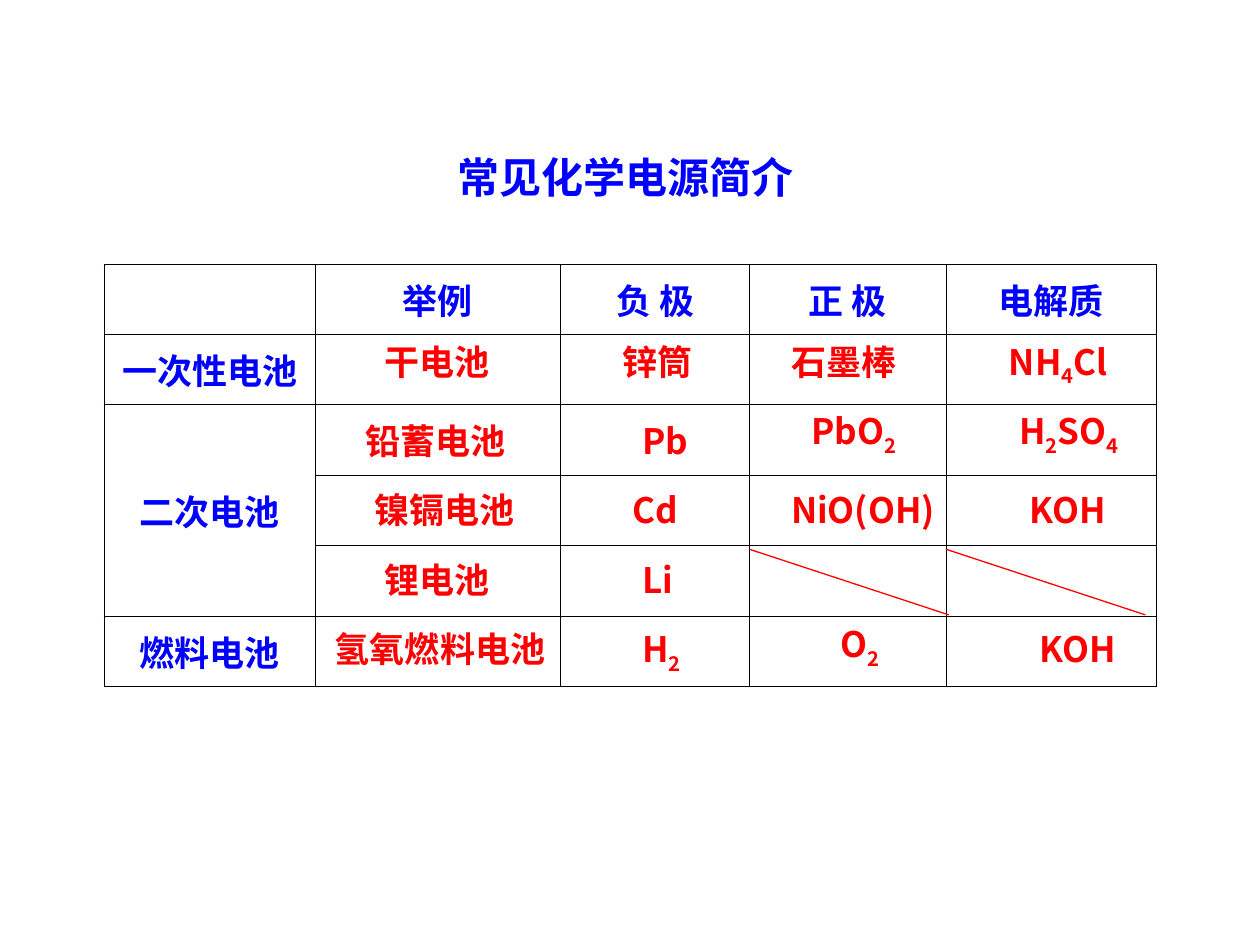
from dataclasses import dataclass
from itertools import accumulate, groupby

from lxml.etree import SubElement
from pptx import Presentation
from pptx.dml.color import RGBColor
from pptx.enum.shapes import MSO_CONNECTOR
from pptx.enum.text import MSO_ANCHOR, MSO_AUTO_SIZE, PP_ALIGN
from pptx.oxml.ns import qn
from pptx.util import Inches, Pt


@dataclass(frozen=True)
class Theme:
    heading: RGBColor = RGBColor(0x00, 0x00, 0xFF)
    answer: RGBColor = RGBColor(0xFF, 0x00, 0x00)
    border: str = "000000"
    latin_font: str = "Arial"
    chinese_font: str = "Noto Sans CJK SC"
    title_size: float = 24
    body_size: float = 20
    outer_line: float = 1.08
    inner_line: float = 0.45
    strike_line: float = 0.75


THEME = Theme()

COLUMN_WIDTHS = [1.67, 1.95, 1.5, 1.56, 1.67]
ROW_HEIGHTS = [0.55] + [0.56] * 5
COLUMN_HEADINGS = ["举例", "负 极", "正 极", "电解质"]
ROW_HEADINGS = {1: "一次性电池", 2: "二次电池", 5: "燃料电池"}
MERGED_ROWS = (2, 4)

# Row by row: text, left and top offset within the cell, width; None is struck out
ANSWERS = [
    [("干电池", 0.45, 0, 1.26), ("锌筒", 0.39, 0, 0.95),
     ("石墨棒", 0.23, 0, 1.42), ("NH4Cl", 0.4, 0, 1.26)],
    [("铅蓄电池", 0.3, 0.07, 1.57), ("Pb", 0.55, 0.07, 0.95),
     ("PbO2", 0.39, -0.01, 0.95), ("H2SO4", 0.48, -0.01, 1.02)],
    [("镍镉电池", 0.37, 0.06, 1.65), ("Cd", 0.47, 0.06, 0.95),
     ("NiO(OH)", 0.23, 0.06, 1.61), ("KOH", 0.56, 0.06, 1.02)],
    [("锂电池", 0.45, 0.05, 1.34), ("Li", 0.55, 0.05, 0.95), None, None],
    [("氢氧燃料电池", 0.06, 0.04, 2.13), ("H2", 0.55, 0.04, 0.95),
     ("O2", 0.62, 0, 0.79), ("KOH", 0.64, 0.04, 1.02)],
]


def add_run(paragraph, text, size, color, font_name, subscript=False):
    run = paragraph.add_run()
    run.text = text
    run.font.size = Pt(size)
    run.font.bold = True
    run.font.color.rgb = color
    run.font.name = font_name
    properties = run._r.get_or_add_rPr()
    SubElement(properties, qn("a:ea"), typeface=THEME.chinese_font)
    if subscript:
        properties.set("baseline", "-25000")


def add_text_box(slide, left, top, width, height):
    shape = slide.shapes.add_textbox(Inches(left), Inches(top), Inches(width), Inches(height))
    shape.text_frame.word_wrap = True
    shape.text_frame.auto_size = MSO_AUTO_SIZE.SHAPE_TO_FIT_TEXT
    return shape.text_frame.paragraphs[0]


def add_title(slide, left, top, width, height):
    paragraph = add_text_box(slide, left, top, width, height)
    paragraph.alignment = PP_ALIGN.CENTER
    add_run(paragraph, "常见化学电源简介", THEME.title_size, THEME.heading, THEME.chinese_font)


def style_cell(cell, row, column):
    outer_sides = {
        "a:lnL": column == 0,
        "a:lnR": column == len(COLUMN_WIDTHS) - 1,
        "a:lnT": row == 0,
        "a:lnB": row == len(ROW_HEIGHTS) - 1,
    }
    properties = cell._tc.get_or_add_tcPr()
    for tag, is_outer in outer_sides.items():
        width = Pt(THEME.outer_line if is_outer else THEME.inner_line)
        line = SubElement(properties, qn(tag), w=str(int(width)))
        SubElement(SubElement(line, qn("a:solidFill")), qn("a:srgbClr"), val=THEME.border)
    cell.fill.background()
    cell.vertical_anchor = MSO_ANCHOR.MIDDLE


def add_battery_table(slide, left, top):
    frame = slide.shapes.add_table(
        len(ROW_HEIGHTS), len(COLUMN_WIDTHS), Inches(left), Inches(top),
        Inches(sum(COLUMN_WIDTHS)), Inches(sum(ROW_HEIGHTS)))
    table = frame.table
    table.first_row = False
    table.horz_banding = False
    for column, width in zip(table.columns, COLUMN_WIDTHS):
        column.width = Inches(width)
    for row, height in zip(table.rows, ROW_HEIGHTS):
        row.height = Inches(height)
    for row in range(len(ROW_HEIGHTS)):
        for column in range(len(COLUMN_WIDTHS)):
            style_cell(table.cell(row, column), row, column)
    first, last = MERGED_ROWS
    table.cell(first, 0).merge(table.cell(last, 0))

    # Headings along the top and down the left
    headings = {(0, column): text for column, text in enumerate(COLUMN_HEADINGS, 1)}
    headings.update({(row, 0): text for row, text in ROW_HEADINGS.items()})
    for position, text in headings.items():
        paragraph = table.cell(*position).text_frame.paragraphs[0]
        paragraph.alignment = PP_ALIGN.CENTER
        add_run(paragraph, text, THEME.body_size, THEME.heading, THEME.latin_font)


def add_answer(slide, left, top, width, text, font_name):
    """Write a name or formula, with its digits as subscripts."""
    has_digits = any(character.isdigit() for character in text)
    paragraph = add_text_box(slide, left, top, width, 0.48 if has_digits else 0.44)
    for is_digit, characters in groupby(text, str.isdigit):
        add_run(paragraph, "".join(characters), THEME.body_size, THEME.answer,
                font_name, subscript=is_digit)


def add_strike(slide, left, top, width, height):
    line = slide.shapes.add_connector(
        MSO_CONNECTOR.STRAIGHT, Inches(left), Inches(top),
        Inches(left + width), Inches(top + height))
    line.line.color.rgb = THEME.answer
    line.line.width = Pt(THEME.strike_line)
    SubElement(line._element.spPr, qn("a:effectLst"))


def add_answers(slide, left, top):
    column_lefts = list(accumulate(COLUMN_WIDTHS, initial=left))
    row_tops = list(accumulate(ROW_HEIGHTS, initial=top))
    for row, answers in enumerate(ANSWERS, 1):
        for column, answer in enumerate(answers, 1):
            cell_left, cell_top = column_lefts[column], row_tops[row]
            if answer is None:
                add_strike(slide, cell_left, cell_top + 0.03, 1.58, 0.52)
                continue
            text, indent, drop, width = answer
            font_name = THEME.latin_font if column == 1 else THEME.chinese_font
            add_answer(slide, cell_left + indent, cell_top + drop, width, text, font_name)


def main():
    presentation = Presentation()
    presentation.slide_width = Inches(10)
    presentation.slide_height = Inches(7.5)
    slide = presentation.slides.add_slide(presentation.slide_layouts[6])
    add_title(slide, 2.01, 1.15, 5.91, 0.5)
    table_left, table_top = 0.83, 2.1
    add_battery_table(slide, table_left, table_top)
    add_answers(slide, table_left, table_top)
    presentation.save("out.pptx")


if __name__ == "__main__":
    main()
